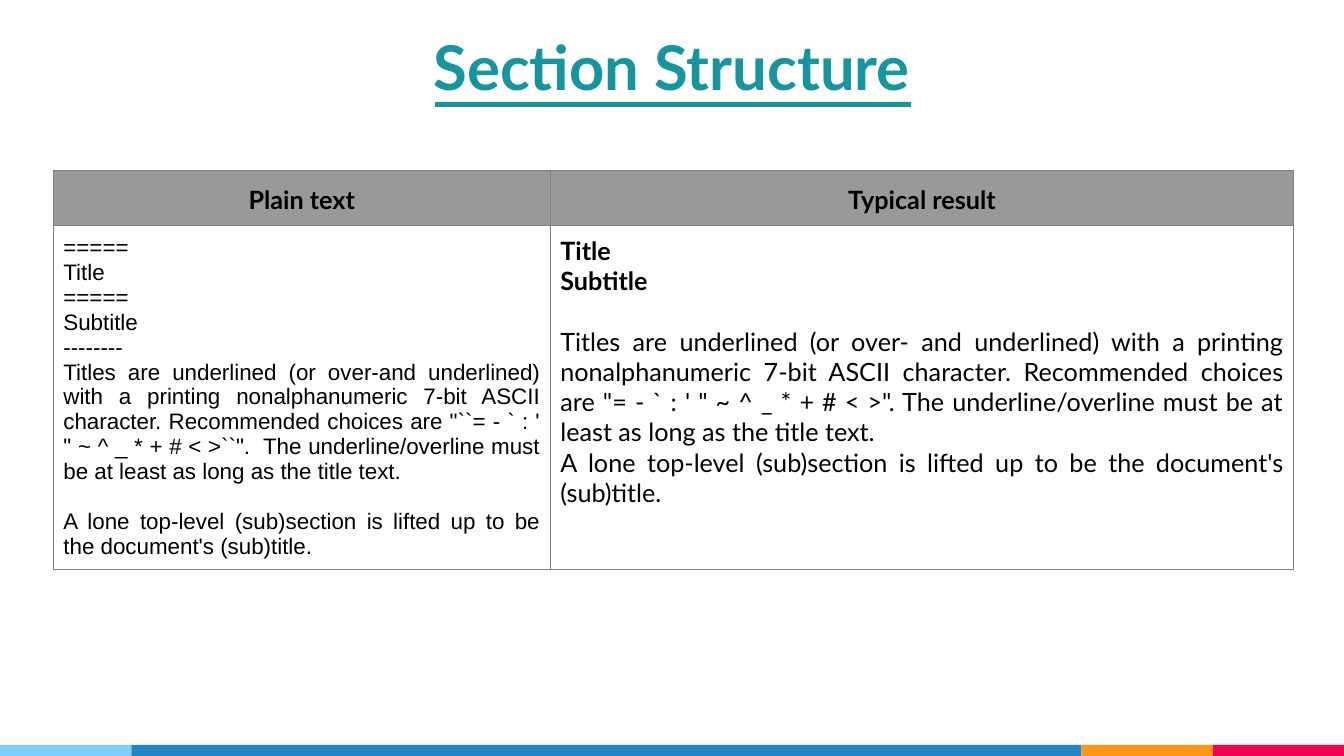
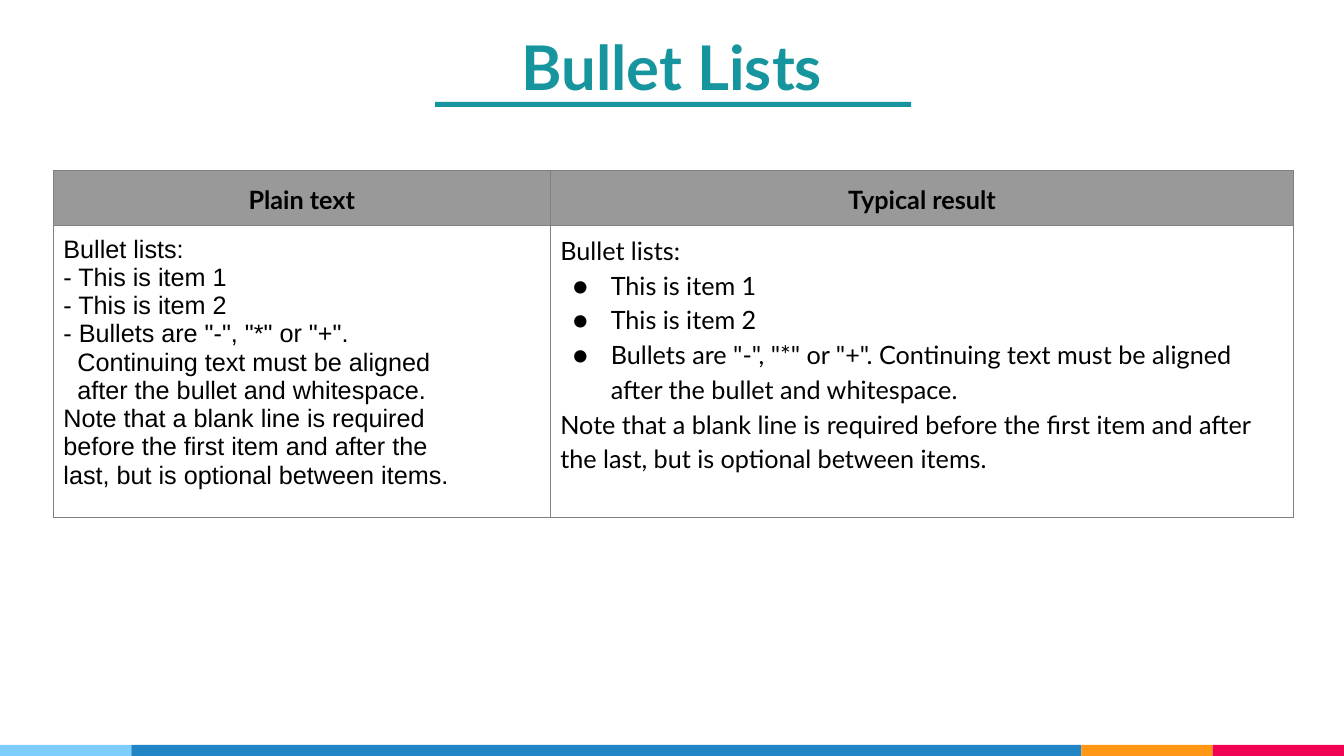
from lxml import etree
from pptx import Presentation
from pptx.dml.color import RGBColor
from pptx.enum.shapes import MSO_SHAPE
from pptx.enum.text import MSO_ANCHOR, PP_ALIGN
from pptx.oxml.ns import qn
from pptx.util import Pt

RECTANGLE = MSO_SHAPE.RECTANGLE
MIDDLE = MSO_ANCHOR.MIDDLE
LEFT, CENTER, JUSTIFY = PP_ALIGN.LEFT, PP_ALIGN.CENTER, PP_ALIGN.JUSTIFY

COLORS = {
    "title": "17959F", "header": "999999", "border": "808080", "text": "000000",
    "light_blue": "7ECEFD", "blue": "2185C5", "amber": "FF9715", "pink": "F20253",
}
SLIDE_WIDTH, SLIDE_HEIGHT = 960, 540
TITLE_BOX = (67.5, 18.7, 825, 57)
TABLE_ORIGIN = (38.1, 121.7)
COLUMN_WIDTHS = (355, 531)
HEADER_HEIGHT = 39.3
FOOTER_HEIGHT = 8
FOOTER_END_WIDTH = 93.8
CELL_MARGIN = 7.2
HEADINGS = ("Plain text", "Typical result")
BODY = {"font": "Lato", "size": 18}
SOURCE = {"font": "Arial"}

SECTION_SOURCE = [
    ("=====", {}),
    ("Title", {}),
    ("=====", {}),
    ("Subtitle", {}),
    ("--------", {}),
    ("Titles are underlined (or over-and underlined) with a printing nonalphanumeric "
     "7-bit ASCII character. Recommended choices are \"``= - ` : ' \" ~ ^ _ * + # < >``\".  "
     "The underline/overline must be at least as long as the title text.", {}),
    ("A lone top-level (sub)section is lifted up to be the document's (sub)title.",
     {"before": 17.9}),
]
SECTION_RESULT = [
    ("Title", {"bold": True}),
    ("Subtitle", {"bold": True}),
    ("Titles are underlined (or over- and underlined) with a printing nonalphanumeric "
     "7-bit ASCII character. Recommended choices are \"= - ` : ' \" ~ ^ _ * + # < >\". "
     "The underline/overline must be at least as long as the title text.",
     {"before": 21.6}),
    ("A lone top-level (sub)section is lifted up to be the document's (sub)title.", {}),
]
BULLET_SOURCE = [(line, {}) for line in (
    "Bullet lists:",
    "- This is item 1",
    "- This is item 2",
    "- Bullets are \"-\", \"*\" or \"+\".",
    "  Continuing text must be aligned",
    "  after the bullet and whitespace.",
    "Note that a blank line is required",
    "before the first item and after the",
    "last, but is optional between items.",
)]
ITEM = {"bullet": "●", "spacing": 1.15}
BULLET_RESULT = [
    ("Bullet lists:", {}),
    ("This is item 1", ITEM),
    ("This is item 2", ITEM),
    ("Bullets are \"-\", \"*\" or \"+\". Continuing text must be aligned "
     "after the bullet and whitespace.", ITEM),
    ("Note that a blank line is required before the first item and after the last, "
     "but is optional between items.", {"spacing": 1.15}),
]


def rgb(name):
    """Return the named palette colour."""
    return RGBColor.from_string(COLORS[name])


def add_bullet(paragraph, symbol, font):
    """Give a paragraph a hanging bullet in the given font."""
    properties = paragraph._p.get_or_add_pPr()
    properties.set("marL", str(Pt(36)))
    properties.set("indent", str(Pt(-27)))
    color = etree.SubElement(properties, qn("a:buClr"))
    etree.SubElement(color, qn("a:srgbClr"), val=COLORS["text"])
    etree.SubElement(properties, qn("a:buFont"), typeface=font)
    etree.SubElement(properties, qn("a:buChar"), char=symbol)


def write(frame, text, font="Lato", size=18, color="text", bold=False,
          align=LEFT, spacing=None, before=None, bullet=None):
    """Write one formatted paragraph, filling the empty first one if it is free."""
    paragraph = frame.paragraphs[0]
    if paragraph.runs:
        paragraph = frame.add_paragraph()
    if bullet:
        add_bullet(paragraph, bullet, font)
    paragraph.alignment = align
    if spacing:
        paragraph.line_spacing = spacing
    if before:
        paragraph.space_before = Pt(before)
    run = paragraph.add_run()
    run.text = text
    run.font.name = font
    run.font.size = Pt(size)
    run.font.bold = bold
    run.font.color.rgb = rgb(color)


def add_bar(slide, left, top, width, height, color):
    """Add a plain filled rectangle."""
    bar = slide.shapes.add_shape(RECTANGLE, Pt(left), Pt(top), Pt(width), Pt(height))
    bar.shadow.inherit = False
    bar.fill.solid()
    bar.fill.fore_color.rgb = rgb(color)
    bar.line.fill.background()


def add_footer(slide, left, top, width, height):
    """Draw the four-colour strip across the given box."""
    long_width = width - 3 * FOOTER_END_WIDTH
    widths = (FOOTER_END_WIDTH, long_width, FOOTER_END_WIDTH, FOOTER_END_WIDTH)
    for color, part_width in zip(("light_blue", "blue", "amber", "pink"), widths):
        add_bar(slide, left, top, part_width, height, color)
        left += part_width


def add_title(slide, text, left, top, width, height):
    """Place the centred title and its underline in the given box."""
    title = slide.shapes.add_textbox(Pt(left), Pt(top), Pt(width), Pt(height))
    frame = title.text_frame
    frame.word_wrap = True
    frame.vertical_anchor = MIDDLE
    frame.margin_left = frame.margin_right = Pt(3.6)
    frame.margin_top = frame.margin_bottom = Pt(1.4)
    write(frame, text, size=44, color="title", bold=True, align=CENTER)
    rule_width = 340
    add_bar(slide, left + (width - rule_width) / 2 + 0.9, top + height - 3,
            rule_width, 3.6, "title")


def style_cell(cell, fill=None):
    """Set a cell's margins, borders and fill."""
    cell.margin_left = cell.margin_right = Pt(CELL_MARGIN)
    cell.margin_top = cell.margin_bottom = Pt(CELL_MARGIN)
    properties = cell._tc.get_or_add_tcPr()
    for side in ("a:lnL", "a:lnR", "a:lnT", "a:lnB"):
        border = etree.SubElement(properties, qn(side), w=str(Pt(0.75)))
        solid = etree.SubElement(border, qn("a:solidFill"))
        etree.SubElement(solid, qn("a:srgbClr"), val=COLORS["border"])
    if fill:
        cell.fill.solid()
        cell.fill.fore_color.rgb = rgb(fill)
    else:
        cell.fill.background()


def add_comparison(slide, left, top, body_height, columns):
    """Add the two-column table of source text and its result."""
    heights = (HEADER_HEIGHT, body_height)
    table = slide.shapes.add_table(
        2, 2, Pt(left), Pt(top), Pt(sum(COLUMN_WIDTHS)), Pt(sum(heights))).table
    table.first_row = table.horz_banding = False
    for row, height in zip(table.rows, heights):
        row.height = Pt(height)
    for index, (heading, (paragraphs, style)) in enumerate(zip(HEADINGS, columns)):
        table.columns[index].width = Pt(COLUMN_WIDTHS[index])
        header, body = table.cell(0, index), table.cell(1, index)
        style_cell(header, "header")
        write(header.text_frame, heading, bold=True, align=CENTER, spacing=1.15)
        style_cell(body)
        for text, extra in paragraphs:
            write(body.text_frame, text, **style, **extra)


def add_comparison_slide(deck, title, body_height, columns):
    """Build one slide with footer, table and title."""
    slide = deck.slides.add_slide(deck.slide_layouts[6])
    add_footer(slide, 0, SLIDE_HEIGHT - FOOTER_HEIGHT, SLIDE_WIDTH, FOOTER_HEIGHT)
    add_comparison(slide, *TABLE_ORIGIN, body_height, columns)
    add_title(slide, title, *TITLE_BOX)


def main():
    """Build and save the deck."""
    deck = Presentation()
    deck.slide_width, deck.slide_height = Pt(SLIDE_WIDTH), Pt(SLIDE_HEIGHT)
    add_comparison_slide(deck, "Section Structure", 245.5, (
        (SECTION_SOURCE, {**SOURCE, "size": 16, "align": JUSTIFY}),
        (SECTION_RESULT, {**BODY, "align": JUSTIFY})))
    add_comparison_slide(deck, "Bullet Lists", 195.5, (
        (BULLET_SOURCE, {**SOURCE, "size": 18}),
        (BULLET_RESULT, BODY)))
    deck.save("out.pptx")


if __name__ == "__main__":
    main()
